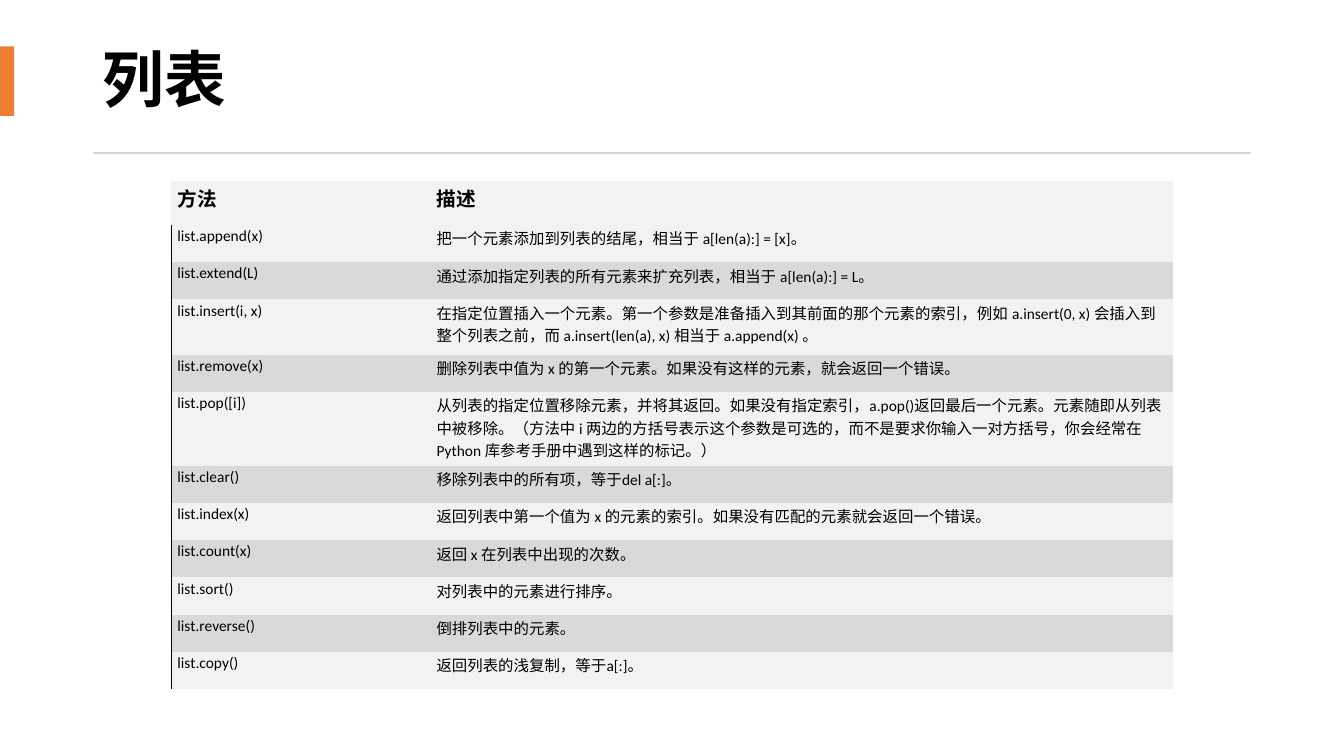
"""Build a slide that lists the Python list methods in a table."""
from lxml.etree import SubElement as Sub
from pptx import Presentation
from pptx.dml.color import RGBColor as Rgb
from pptx.enum.shapes import MSO_SHAPE as Kind
from pptx.enum.text import MSO_ANCHOR as Anchor
from pptx.oxml.ns import qn
from pptx.util import Inches, Pt

TITLE = "列表"
HEAD = ("方法", "描述")
METHODS = [
    ("list.append(x)", "把一个元素添加到列表的结尾，相当于 a[len(a):] = [x]。", 1),
    ("list.extend(L)", "通过添加指定列表的所有元素来扩充列表，相当于 a[len(a):] = L。", 1),
    ("list.insert(i, x)", "在指定位置插入一个元素。第一个参数是准备插入到其前面的那个元素的索引，"
     "例如 a.insert(0, x) 会插入到整个列表之前，而 a.insert(len(a), x) 相当于 a.append(x) 。", 2),
    ("list.remove(x)", "删除列表中值为 x 的第一个元素。如果没有这样的元素，就会返回一个错误。", 1),
    ("list.pop([i])", "从列表的指定位置移除元素，并将其返回。如果没有指定索引，a.pop()返回最后一个元素。"
     "元素随即从列表中被移除。（方法中 i 两边的方括号表示这个参数是可选的，"
     "而不是要求你输入一对方括号，你会经常在 Python 库参考手册中遇到这样的标记。）", 3),
    ("list.clear()", "移除列表中的所有项，等于del a[:]。", 1),
    ("list.index(x)", "返回列表中第一个值为 x 的元素的索引。如果没有匹配的元素就会返回一个错误。", 1),
    ("list.count(x)", "返回 x 在列表中出现的次数。", 1),
    ("list.sort()", "对列表中的元素进行排序。", 1),
    ("list.reverse()", "倒排列表中的元素。", 1),
    ("list.copy()", "返回列表的浅复制，等于a[:]。", 1),
]
BARS = [((0, 0.46, 0.14, 0.69), "ED7D31"), ((0.92, 1.51, 11.49, 0.02), "D5D5D5")]
BANDS = ("D9D9D9", "F2F2F2")
COLS = (2.57, 7.36)
HEAD_TALL, ROW_TALL, LINE_TALL = 0.43, 0.37, 0.18
NO_STYLE = "{2D5ABB26-0587-4C30-8999-92F81FD0307C}"


def paint(fill, color):
    fill.solid()
    fill.fore_color.rgb = Rgb.from_string(color)


def write(frame, text, size, bold):
    frame.text = text
    for run in frame.paragraphs[0].runs:
        font = run.font
        font.name, font.size, font.bold = "Calibri", Pt(size), bold
        font.color.rgb = Rgb.from_string("000000")


def edge(cell, color):
    props = cell._tc.get_or_add_tcPr()
    line = Sub(props, qn("a:lnL"), w=str(Pt(1)))
    Sub(Sub(line, qn("a:solidFill")), qn("a:srgbClr"), val=color)
    props.insert(0, line)


def fill_cell(cell, text, row):
    head = row == 0
    write(cell.text_frame, text, 14 if head else 11, head)
    cell.vertical_anchor = Anchor.BOTTOM if head else Anchor.TOP
    cell.margin_left, cell.margin_top = Inches(0.06), Inches(0.02)
    cell.margin_right = Inches(0.01 if head else 0.02)
    cell.margin_bottom = Inches(0.13)
    paint(cell.fill, BANDS[1] if head else BANDS[row % 2])


deck = Presentation()
deck.slide_width, deck.slide_height = Inches(13.33), Inches(7.5)
slide = deck.slides.add_slide(deck.slide_layouts[6])
shapes = slide.shapes

title = shapes.add_textbox(*map(Inches, (0.92, 0.27, 11.49, 1.1))).text_frame
title.word_wrap = True
title.vertical_anchor = Anchor.MIDDLE
write(title, TITLE, 44, True)
title.paragraphs[0].line_spacing = 0.9

for box, color in BARS:
    bar = shapes.add_shape(Kind.RECTANGLE, *map(Inches, box))
    bar.shadow.inherit = False
    bar.line.fill.background()
    paint(bar.fill, color)

talls = [HEAD_TALL] + [ROW_TALL + LINE_TALL * (lines - 1) for *_, lines in METHODS]
size = (1.7, 1.8, sum(COLS), sum(talls))
table = shapes.add_table(len(talls), len(COLS), *map(Inches, size)).table
table._tbl.tblPr.find(qn("a:tableStyleId")).text = NO_STYLE
for col, wide in zip(table.columns, COLS):
    col.width = Inches(wide)
for row, (tall, texts) in enumerate(zip(talls, [HEAD] + [m[:2] for m in METHODS])):
    table.rows[row].height = Inches(tall)
    for col, text in enumerate(texts):
        fill_cell(table.cell(row, col), text, row)
    if row:
        edge(table.cell(row, 0), "000000")

deck.save("out.pptx")
